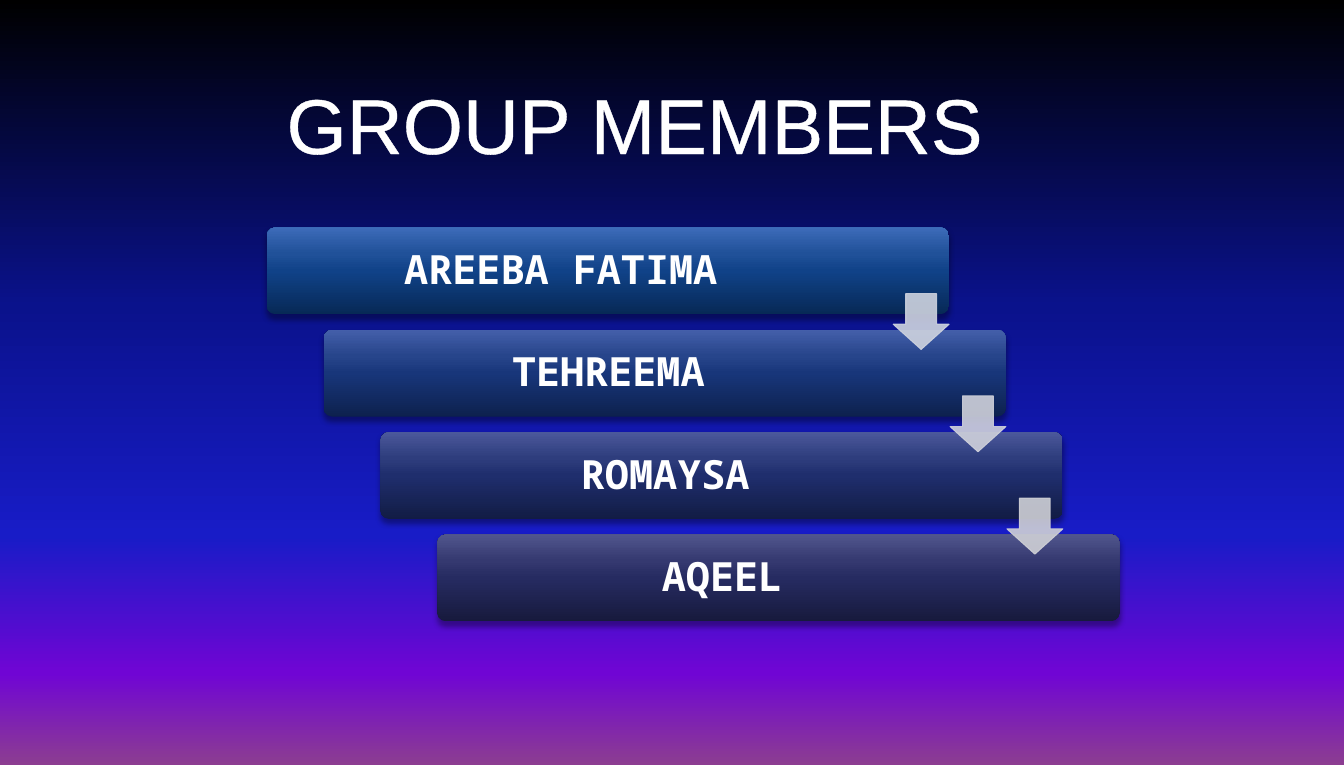
from lxml.etree import SubElement
from pptx import Presentation
from pptx.dml.color import RGBColor
from pptx.enum.shapes import MSO_SHAPE as SHAPE
from pptx.enum.text import MSO_ANCHOR as ANCHOR, PP_ALIGN as ALIGN
from pptx.oxml import parse_xml
from pptx.oxml.ns import nsdecls, qn
from pptx.util import Inches, Pt

TITLE = "GROUP MEMBERS"
MEMBERS = [
    ("AREEBA FATIMA", 5.63, ("072956", "104288", "205199", "3D6BB9")),
    ("TEHREEMA", 5.45, ("0D214E", "18367A", "27458B", "445FAA")),
    ("ROMAYSA", 5.45, ("121C45", "1F2E6D", "2E3D7D", "4B589B")),
    ("AQEEL", 5.45, ("171A3D", "262B61", "353970", "51568D")),
]
BAR_STOPS = (0, 50, 70, 100)
BACKGROUND = [(0, "000000"), (40, "0A128C"), (70, "181CC7"),
              (88, "7005D4"), (100, "8C3D91")]
ARROW_COLORS = [RGBColor(0xCE, 0xD3, 0xDF), RGBColor(0xCF, 0xD1, 0xDB),
                RGBColor(0xCF, 0xD0, 0xD6)]
WHITE = RGBColor(0xFF, 0xFF, 0xFF)

BAR_X, BAR_Y, BAR_W, BAR_H = 2.58, 2.2, 6.6, 0.84
STEP_X, STEP_Y = 0.55, 0.99
ARROW_X, ARROW_Y, ARROW_SIZE = 8.64, 2.84, 0.54
LABEL_INSET, LABEL_H = 0.03, 0.79


def set_gradient(fill, owner, stops, angle):
    fill.gradient()
    grad = next(owner.iter(qn("a:gradFill")))
    stop_list = grad.find(qn("a:gsLst"))
    for old in list(stop_list):
        stop_list.remove(old)
    for pos, color in stops:
        gs = SubElement(stop_list, qn("a:gs"), pos=str(pos * 1000))
        SubElement(gs, qn("a:srgbClr"), val=color)
    grad.find(qn("a:lin")).set("ang", str(angle * 60000))


def shadow_effect(alpha, blur, dist, angle):
    return parse_xml(
        f'<a:effectLst {nsdecls("a")}><a:outerShdw blurRad="{Pt(blur)}" '
        f'dist="{Pt(dist)}" dir="{angle * 60000}" algn="ctr" rotWithShape="0">'
        f'<a:srgbClr val="000000"><a:alpha val="{alpha * 1000}"/></a:srgbClr>'
        '</a:outerShdw></a:effectLst>')


def add_bar(slide, x, y, colors):
    sp = slide.shapes.add_shape(SHAPE.ROUNDED_RECTANGLE, Inches(x), Inches(y),
                                Inches(BAR_W), Inches(BAR_H))
    sp.adjustments[0] = 0.1
    sp.line.fill.background()
    set_gradient(sp.fill, sp._element, zip(BAR_STOPS, colors), 270)
    sp._element.spPr.append(shadow_effect(35, 4, 3, 90))


def add_label(slide, x, y, width, text):
    tf = slide.shapes.add_textbox(Inches(x), Inches(y), Inches(width),
                                  Inches(LABEL_H)).text_frame
    tf.word_wrap = True
    tf.vertical_anchor = ANCHOR.MIDDLE
    tf.margin_left = tf.margin_right = Inches(0.12)
    tf.margin_top = tf.margin_bottom = Inches(0.12)
    p = tf.paragraphs[0]
    p.text = text
    p.alignment = ALIGN.CENTER
    p.line_spacing = 0.9
    p.font.name, p.font.size, p.font.bold = "Noto Sans Mono", Pt(28), True
    p.font.color.rgb = WHITE


def add_arrow(slide, x, y, color):
    sp = slide.shapes.add_shape(SHAPE.DOWN_ARROW, Inches(x), Inches(y),
                                Inches(ARROW_SIZE), Inches(ARROW_SIZE))
    sp.adjustments[0], sp.adjustments[1] = 0.55, 0.45
    sp.shadow.inherit = False
    sp.fill.solid()
    sp.fill.fore_color.rgb = color
    sp.line.color.rgb = color
    sp.line.width = Pt(0.75)
    for clr in sp._element.spPr.iter(qn("a:srgbClr")):
        SubElement(clr, qn("a:alpha"), val="90000")


def format_title(title):
    title.left, title.top = Inches(0.83), Inches(0.78)
    title.width, title.height = Inches(10.62), Inches(0.82)
    tf = title.text_frame
    tf.vertical_anchor = ANCHOR.MIDDLE
    p = tf.paragraphs[0]
    p.alignment = ALIGN.CENTER
    r = p.add_run()
    r.text = TITLE
    r.font.name, r.font.size = "Arial", Pt(54)
    r.font.color.rgb = WHITE
    rpr = r.font._element
    rpr.insert(0, parse_xml(
        f'<a:ln {nsdecls("a")} w="{Pt(1.45)}"><a:solidFill>'
        f'<a:srgbClr val="{WHITE}"/></a:solidFill></a:ln>'))
    rpr.find(qn("a:latin")).addprevious(shadow_effect(65, 4, 3, 45))


def main():
    prs = Presentation()
    prs.slide_width, prs.slide_height = Inches(13), Inches(7.4)
    slide = prs.slides.add_slide(prs.slide_layouts[5])
    set_gradient(slide.background.fill, slide._element, BACKGROUND, 90)
    format_title(slide.shapes.title)
    for i, (name, width, colors) in enumerate(MEMBERS):
        x, y = BAR_X + i * STEP_X, BAR_Y + i * STEP_Y
        add_bar(slide, x, y, colors)
        add_label(slide, x + LABEL_INSET, y + LABEL_INSET, width, name)
    for i, color in enumerate(ARROW_COLORS):
        add_arrow(slide, ARROW_X + i * STEP_X, ARROW_Y + i * STEP_Y, color)
    prs.save("out.pptx")


if __name__ == "__main__":
    main()
